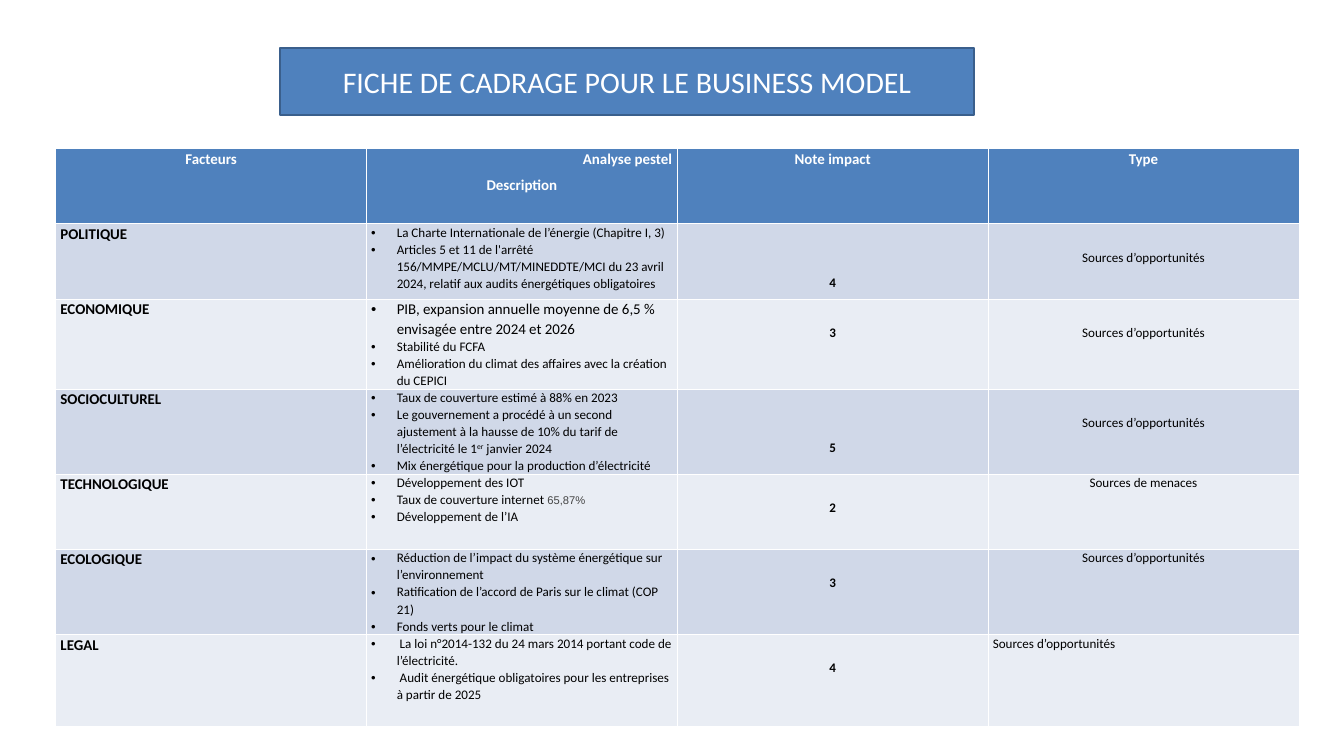
"""Build the PESTEL framing slide for the business model."""
from lxml.etree import SubElement
from pptx import Presentation
from pptx.dml.color import RGBColor
from pptx.enum.shapes import MSO_SHAPE
from pptx.enum.text import MSO_ANCHOR, PP_ALIGN
from pptx.oxml.ns import qn
from pptx.util import Inches, Pt

COLORS = {
    "blue": "4F81BD",
    "outline": "3A5F8C",
    "dark_band": "D0D8E8",
    "light_band": "E9EDF4",
    "white": "FFFFFF",
    "black": "000000",
    "grey": "444444",
}
OPPORTUNITY = "Sources d’opportunités"
THREAT = "Sources de menaces"
BLANK_LINE = 0.37

HEADERS = [
    ["Facteurs"],
    ["Analyse pestel", "Description"],
    ["Note impact"],
    ["Type"],
]

FACTORS = [
    ("POLITIQUE", [
        "La Charte Internationale de l’énergie (Chapitre I, 3)",
        "Articles 5 et 11 de l'arrêté 156/MMPE/MCLU/MT/MINEDDTE/MCI du 23 avril 2024, "
        "relatif aux audits énergétiques obligatoires",
    ], "4", 2, OPPORTUNITY, 1),
    ("ECONOMIQUE", [
        "PIB, expansion annuelle moyenne de 6,5 % envisagée entre 2024 et 2026",
        "Stabilité du FCFA",
        "Amélioration du climat des affaires avec la création du CEPICI",
    ], "3", 1, OPPORTUNITY, 1),
    ("SOCIOCULTUREL", [
        "Taux de couverture estimé à 88% en 2023",
        "Le gouvernement a procédé à un second ajustement à la hausse de 10% du tarif "
        "de l’électricité le 1|er| janvier 2024",
        "Mix énergétique pour la production d’électricité",
    ], "5", 2, OPPORTUNITY, 1),
    ("TECHNOLOGIQUE", [
        "Développement des IOT",
        "Taux de couverture internet |65,87%",
        "Développement de l’IA",
    ], "2", 1, THREAT, 0),
    ("ECOLOGIQUE", [
        "Réduction de l’impact du système énergétique sur l’environnement",
        "Ratification de l’accord de Paris sur le climat (COP 21)",
        "Fonds verts pour le climat",
    ], "3", 1, OPPORTUNITY, 0),
    ("LEGAL", [
        " La loi n°2014-132 du 24 mars 2014 portant code de l’électricité.",
        " Audit énergétique obligatoires pour les entreprises à partir de 2025",
    ], "4", 1, OPPORTUNITY, 0),
]


def style_paragraph(paragraph, size, color="black", bold=False, align=PP_ALIGN.LEFT, after=8):
    paragraph.alignment = align
    paragraph.line_spacing = 1.07
    paragraph.space_after = Pt(after)
    font = paragraph.font
    font.name, font.size, font.bold = "Calibri", Pt(size), bold
    font.color.rgb = RGBColor.from_string(COLORS[color])


def prepare_cell(cell, color, blank_lines=0):
    cell.fill.solid()
    cell.fill.fore_color.rgb = RGBColor.from_string(COLORS[color])
    cell.margin_left = cell.margin_right = Inches(0.07)
    cell.margin_top = Inches(BLANK_LINE * blank_lines)
    cell.margin_bottom = 0
    return cell.text_frame


presentation = Presentation()
presentation.slide_width = Inches(20)
presentation.slide_height = Inches(11.25)
slide = presentation.slides.add_slide(presentation.slide_layouts[6])

table = slide.shapes.add_table(
    len(FACTORS) + 1, len(HEADERS), Inches(0.83), Inches(2.21), Inches(18.5), Inches(8.09)
).table
for column in table.columns:
    column.width = Inches(4.625)
for row in table.rows:
    row.height = Inches(1.12)
table.rows[len(FACTORS)].height = Inches(1.37)

for column_index, lines in enumerate(HEADERS):
    frame = prepare_cell(table.cell(0, column_index), "blue")
    frame.text = "\n".join(lines)
    for paragraph in frame.paragraphs:
        style_paragraph(paragraph, 16, "white", True, PP_ALIGN.CENTER)

analysis = table.cell(0, 1).text_frame.paragraphs[0]
analysis.alignment = PP_ALIGN.LEFT
analysis._p.get_or_add_pPr().set("indent", str(Inches(3.15)))

for row_index, (factor, points, score, score_drop, kind, kind_drop) in enumerate(FACTORS, 1):
    band = "dark_band" if row_index % 2 else "light_band"

    frame = prepare_cell(table.cell(row_index, 0), band)
    frame.text = factor
    style_paragraph(frame.paragraphs[0], 16, bold=True)

    frame = prepare_cell(table.cell(row_index, 1), band)
    for point_index, point in enumerate(points):
        paragraph = frame.add_paragraph() if point_index else frame.paragraphs[0]
        properties = paragraph._p.get_or_add_pPr()
        properties.set("marL", str(Inches(0.38)))
        properties.set("indent", str(Inches(-0.38)))
        SubElement(properties, qn("a:buFont")).set("typeface", "Arial")
        SubElement(properties, qn("a:buChar")).set("char", "•")
        size = 16 if point.startswith("PIB") else 14
        style_paragraph(paragraph, size, after=8 if point_index == len(points) - 1 else 0)
        for text in point.split("|"):
            run = paragraph.add_run()
            run.text = text
            if text == "er":
                run.font._element.set("baseline", "30000")
            elif text == "65,87%":
                run.font.name, run.font.size = "Arial", Pt(12)
                run.font.color.rgb = RGBColor.from_string(COLORS["grey"])

    frame = prepare_cell(table.cell(row_index, 2), band, score_drop)
    frame.text = score
    style_paragraph(frame.paragraphs[0], 14, bold=True, align=PP_ALIGN.CENTER)

    frame = prepare_cell(table.cell(row_index, 3), band, kind_drop)
    frame.text = kind
    kind_align = PP_ALIGN.LEFT if factor == "LEGAL" else PP_ALIGN.CENTER
    style_paragraph(frame.paragraphs[0], 14, align=kind_align)

title = slide.shapes.add_shape(
    MSO_SHAPE.RECTANGLE, Inches(4.17), Inches(0.71), Inches(10.33), Inches(1)
)
title.shadow.inherit = False
title.fill.solid()
title.fill.fore_color.rgb = RGBColor.from_string(COLORS["blue"])
title.line.color.rgb = RGBColor.from_string(COLORS["outline"])
title.line.width = Pt(2)
title.text_frame.word_wrap = True
title.text_frame.vertical_anchor = MSO_ANCHOR.MIDDLE
title.text_frame.text = "FICHE DE CADRAGE POUR LE BUSINESS MODEL"
heading = title.text_frame.paragraphs[0]
heading.alignment = PP_ALIGN.CENTER
heading.font.name, heading.font.size = "Calibri", Pt(32)
heading.font.color.rgb = RGBColor.from_string(COLORS["white"])

presentation.save("out.pptx")
